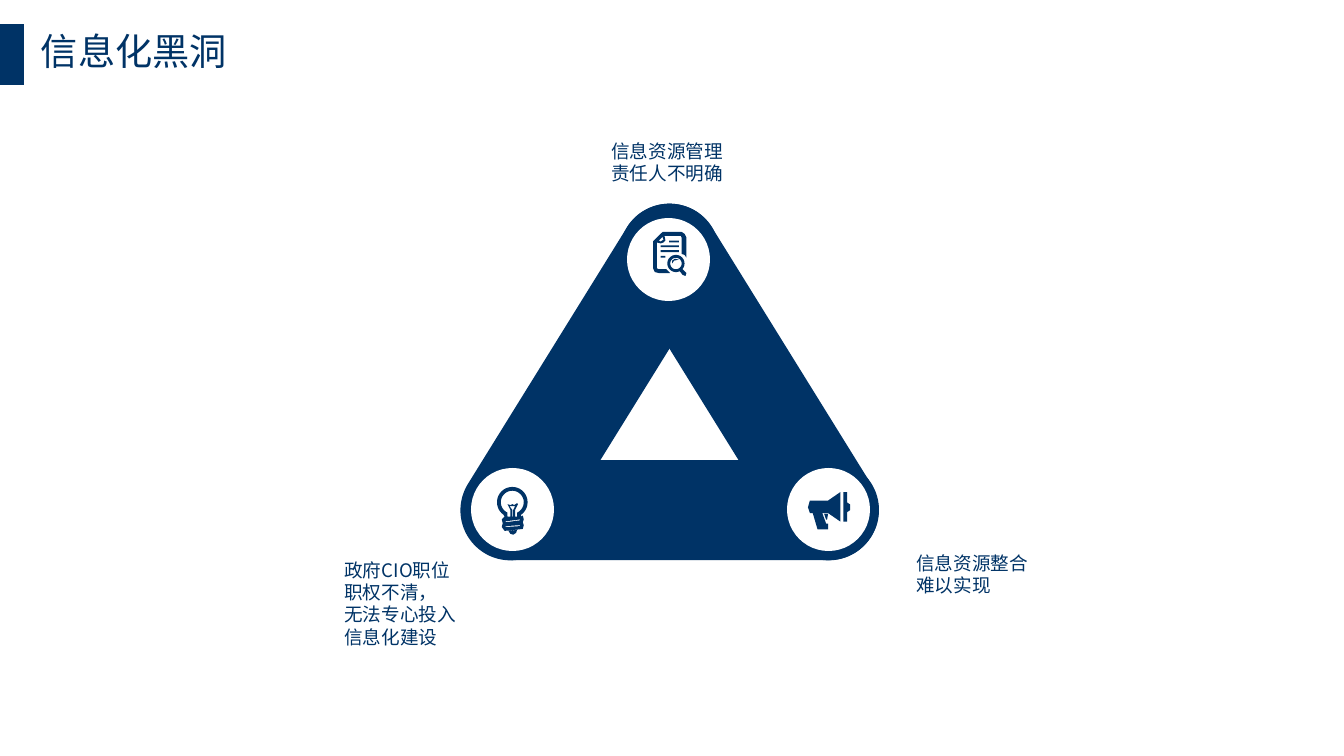
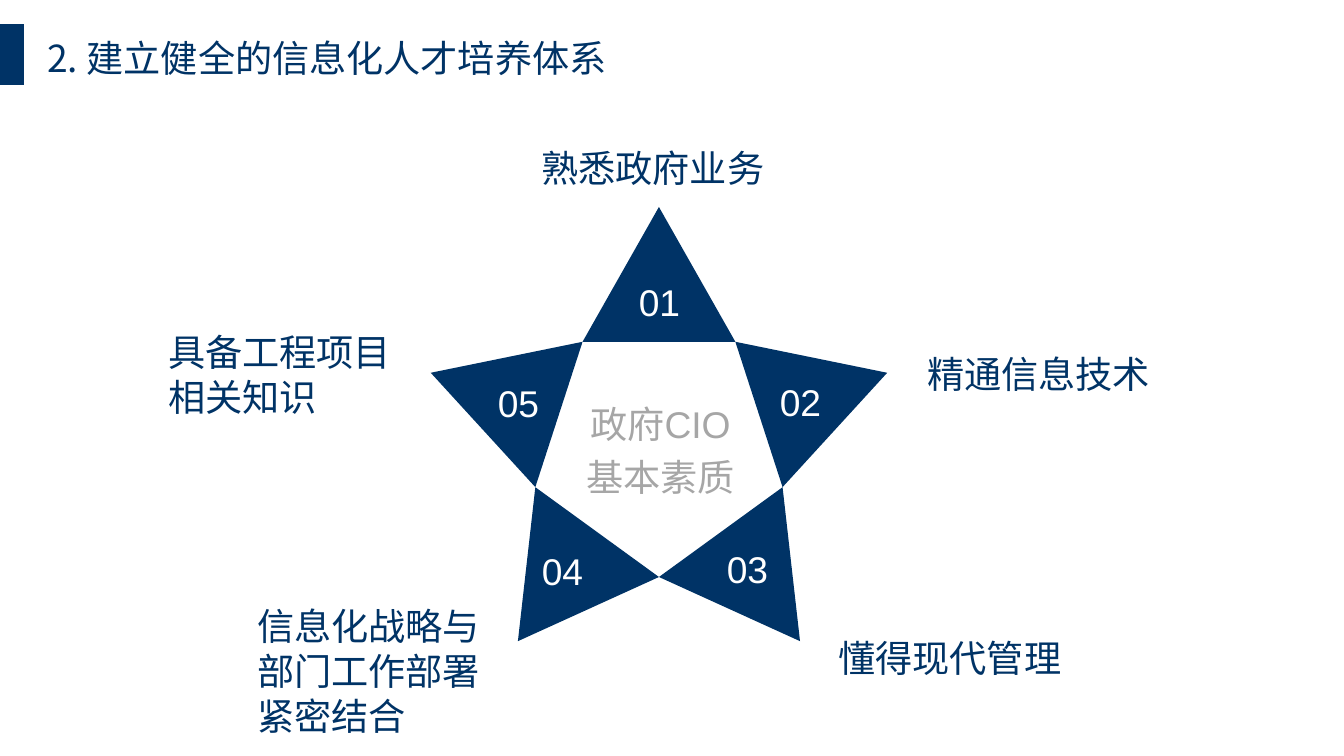
from dataclasses import dataclass
from math import cos, radians, sin

from lxml import etree
from pptx import Presentation
from pptx import util as u
from pptx.dml.color import RGBColor
from pptx.enum import shapes, text
from pptx.oxml.ns import qn

PX = 914400 / 95.6
UNIT = u.Inches(0.01)  # grid step of the icons
INSET = 0.1


@dataclass(frozen=True)
class Theme:
    """Colours, fonts and type sizes of the deck."""
    navy: str = "003366"
    white: str = "FFFFFF"
    gray: str = "A6A6A6"
    sans: str = "Noto Sans CJK SC"
    latin: str = "Arial"
    big: int = 28
    small: int = 14


T = Theme()


def px(*nums):
    """Turn pixels into EMU."""
    return [u.Emu(round(n * PX)) for n in nums]


def paint(shape, color):
    """Give a shape a flat fill with no line or shadow."""
    shape.shadow.inherit = False
    shape.fill.solid()
    shape.fill.fore_color.rgb = RGBColor.from_string(color)
    shape.line.fill.background()
    return shape


def block(slide, kind, box, color=T.navy):
    """Add a flat preset shape."""
    return paint(slide.shapes.add_shape(kind, *px(*box)), color)


def outline(slide, rings):
    """Add one freeform from closed rings of EMU points."""
    first, *rest = rings
    pen = slide.shapes.build_freeform(*first[0], scale=1.0)
    pen.add_line_segments(first[1:], close=True)
    for ring in rest:
        pen.move_to(*ring[0])
        pen.add_line_segments(ring[1:], close=True)
    return paint(pen.convert_to_shape(), T.navy)


def write(slide, box, lines, size=T.big, color=T.navy, face=T.sans,
          inset=INSET, wrap=True, align=text.PP_ALIGN.LEFT, space=None, indent=0):
    """Add a text box with one paragraph a line."""
    frame = slide.shapes.add_textbox(*px(*box)).text_frame
    frame.word_wrap = wrap
    frame.margin_left = frame.margin_right = u.Inches(inset)
    frame.margin_top = frame.margin_bottom = u.Inches(inset / 2)
    frame.text = lines
    for para in frame.paragraphs:
        para.alignment = align
        para.line_spacing = space
        font = para.font
        font.size, font.name = u.Pt(size), face
        font.color.rgb = RGBColor.from_string(color)
        props = para._p.get_or_add_pPr()
        if indent:
            props.set("indent", str(px(indent)[0]))
        latin = props.find(qn("a:defRPr")).find(qn("a:latin"))
        east = etree.Element(qn("a:ea"), typeface=T.sans)
        latin.addnext(east)


def header(slide, box, title, inset=INSET):
    """Add the side band and the slide title."""
    block(slide, shapes.MSO_SHAPE.RECTANGLE, (0, 24, 24, 61))
    write(slide, box, title, inset=inset, wrap=False)


def polar(x, y, r, deg):
    """Return the point at an angle around a centre."""
    return x + r * cos(radians(deg)), y + r * sin(radians(deg))


def arc(x, y, r, start=0, end=360):
    """Return points along an arc."""
    steps = 32
    return [polar(x, y, r, start + (end - start) * i / steps)
            for i in range(steps + 1)]


def rect(x, y, w, h):
    """Return the corners of a bar."""
    return [(x, y), (x + w, y), (x + w, y + h), (x, y + h)]


PAGE = [
    [(10, 0), (30, 0), (33, 2), (35, 6), (35, 27), (33, 24), (30, 23), (30, 6),
     (29, 4), (12, 4), (13, 9), (11, 11), (8, 12), (4, 11), (4, 38), (6, 39),
     (14, 39), (18, 43), (6, 43), (2, 42), (0, 38), (0, 10), (9, 1)],
    rect(8, 25, 5, 2), rect(8, 19, 19, 2), rect(8, 14, 19, 2), rect(17, 9, 10, 2),
    [(10, 5), (6, 9), (8, 10), (11, 8)],
    arc(24, 33, 9), arc(24, 33, 6),
    [(20, 33), (22, 30), (27, 29), (23, 28), (20, 30)],
    [(28, 41), (31, 39), (35, 43), (34, 46), (31, 45)],
]
BULB = [
    arc(16, 17, 16, 125, 415) + [(25, 32), (27, 31), (28, 35), (27, 38), (28, 41),
                                 (27, 45), (8, 47), (5, 43), (6, 39), (5, 35),
                                 (7, 33), (8, 32)],
    arc(16, 17, 12, 115, 425) + [(21, 32), (11, 32)],
    [(11, 19), (14, 20), (16, 19), (18, 20), (21, 18), (22, 19), (19, 25),
     (19, 32), (17, 32), (17, 25), (19, 21), (13, 21), (16, 25), (16, 32),
     (14, 32), (14, 25)],
    [(9, 37), (24, 35), (24, 36), (9, 38)],
    [(9, 42), (24, 41), (24, 42), (9, 43)],
    [(12, 47), (21, 46), (20, 49), (17, 51), (14, 50)],
]
HORN = [
    [(2, 9), (21, 9), (34, 0), (34, 31), (21, 22), (15, 22), (19, 33), (21, 33),
     (21, 39), (10, 39), (5, 22), (2, 22), (0, 16)],
    [(37, 0), (41, 0), (41, 11), (44, 13), (44, 19), (41, 21), (41, 31), (37, 31)],
    [(17, 23), (21, 23), (20, 29), (19, 29)],
]


def badge(slide, x, y, icon, left, top):
    """Add a white disc and, offset inside it, its icon."""
    block(slide, shapes.MSO_SHAPE.OVAL, (x, y, 83, 83), T.white)
    ox, oy = px(x + left, y + top)
    outline(slide, [[(ox + a * UNIT, oy + b * UNIT) for a, b in ring]
                    for ring in icon])


def triangle(slide, x, y):
    """Build the three-sided loop with its badges."""
    for left, top, wide, turn in ((1, 257, 417, 0), (87, 129, 402, 58.2),
                                  (-72, 129, 402, 301.8)):
        bar = block(slide, shapes.MSO_SHAPE.ROUNDED_RECTANGLE,
                    (x + left, y + top, wide, 100))
        bar.adjustments[0] = 0.5
        bar.rotation = turn
    badge(slide, x + 166, y + 15, PAGE, 26, 14)
    badge(slide, x + 10, y + 265, BULB, 26, 18)
    badge(slide, x + 326, y + 265, HORN, 21, 24)


def star(slide, x, y, tip=240, core=130):
    """Build the five points of the star around a centre."""
    for i in range(5):
        mid = 72 * i - 90
        ring = [polar(x, y, core, mid - 36), polar(x, y, tip, mid),
                polar(x, y, core, mid + 36)]
        outline(slide, [[tuple(px(*dot)) for dot in ring]])
    style = dict(face=T.latin, inset=0, align=text.PP_ALIGN.CENTER, space=1.2)
    spots = ((-26, -177), (115, -77), (62, 90), (-123, 92), (-167, -76))
    for i, (left, top) in enumerate(spots, 1):
        write(slide, (x + left, y + top, 53, 49), f"{i:02}", color=T.white, **style)
    write(slide, (x - 91, y - 55, 185, 103), "政府CIO\n基本素质",
          color=T.gray, **style)


def holes(slide):
    """Build the slide on the three problems."""
    triangle(slide, 461, 203)
    write(slide, (907, 547, 154, 54), "信息资源整合\n难以实现", T.small)
    write(slide, (602, 135, 175, 54), "信息资源管理\n责任人不明确", T.small)
    write(slide, (307, 554, 180, 99),
          "政府CIO职位\n职权不清，\n无法专心投入\n信息化建设", T.small, indent=28)
    header(slide, (41, 28, 187, 45), "信息化黑洞", inset=0)


def skills(slide):
    """Build the slide on the five skills."""
    star(slide, 659, 447)
    header(slide, (38, 31, 587, 54), "2. 建立健全的信息化人才培养体系")
    for x, y, tall, label in (
            (532, 141, 54, "熟悉政府业务"),
            (918, 347, 54, "精通信息技术"),
            (829, 631, 54, "懂得现代管理"),
            (248, 599, 144, "信息化战略与\n部门工作部署\n紧密结合"),
            (159, 325, 99, "具备工程项目\n相关知识")):
        write(slide, (x, y, 245, tall), label, wrap=False)


def main():
    """Build and save the deck."""
    deck = Presentation()
    deck.slide_width, deck.slide_height = px(1344, 756)
    for build in (holes, skills):
        build(deck.slides.add_slide(deck.slide_layouts[6]))
    deck.save("out.pptx")


main()
